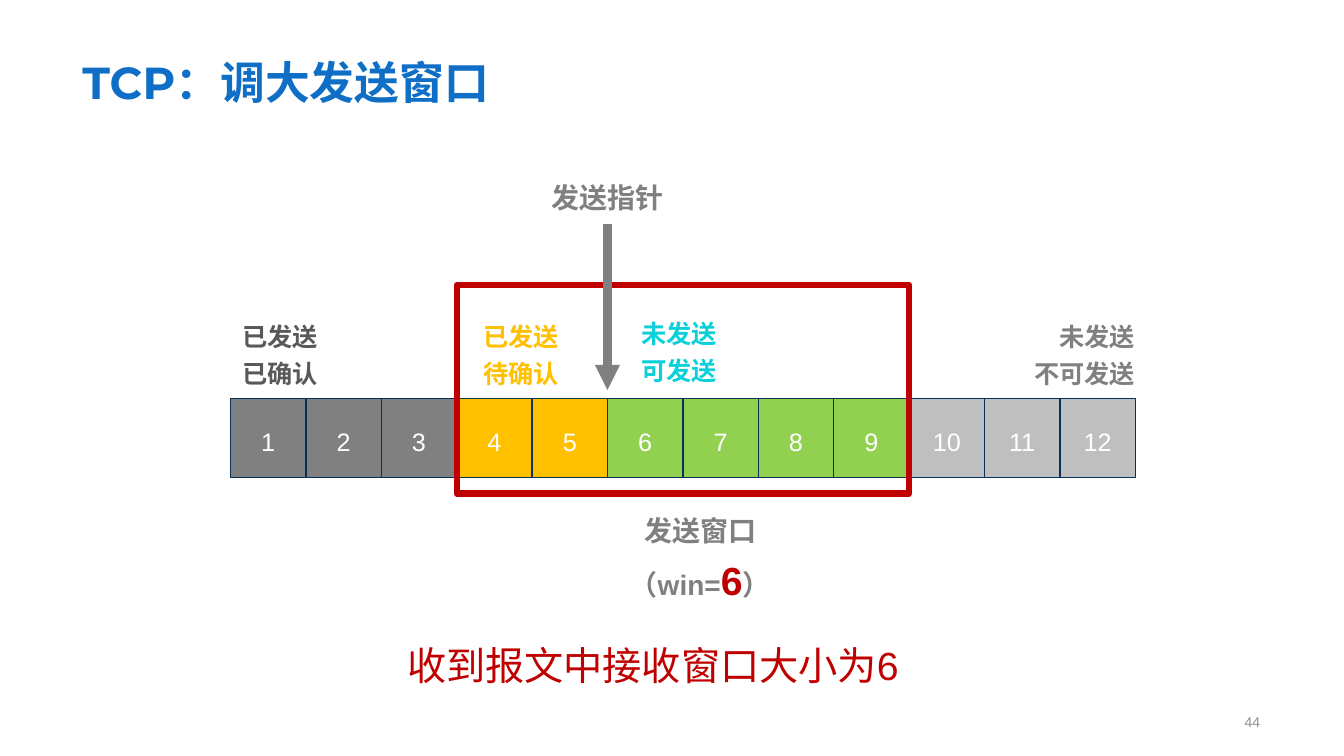
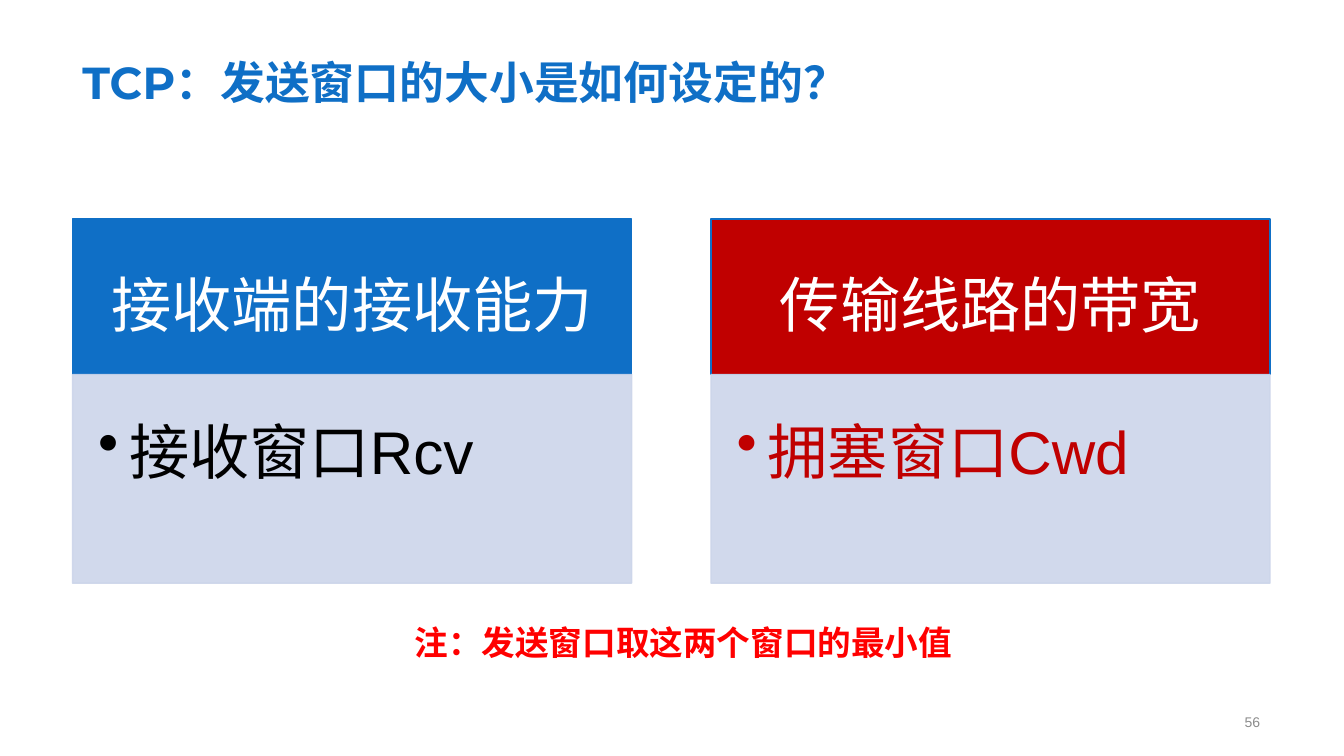
"""Build two slides on the TCP send window."""
from lxml import etree
from pptx import Presentation
from pptx.dml.color import RGBColor
from pptx.enum.lang import MSO_LANGUAGE_ID
from pptx.enum.shapes import MSO_CONNECTOR, MSO_SHAPE
from pptx.enum.text import MSO_ANCHOR, PP_ALIGN
from pptx.oxml.ns import qn
from pptx.util import Inches, Pt

LEFT, MID, RIGHT = PP_ALIGN.LEFT, PP_ALIGN.CENTER, PP_ALIGN.RIGHT
TOP, HALF, LOW = MSO_ANCHOR.TOP, MSO_ANCHOR.MIDDLE, MSO_ANCHOR.BOTTOM
RECT, LINE = MSO_SHAPE.RECTANGLE, MSO_CONNECTOR.STRAIGHT
ZH = MSO_LANGUAGE_ID.SIMPLIFIED_CHINESE

BLUE, NAVY, RED, GRAY = "0F6FC6", "073157", "C00000", "808080"
GOLD, GREEN, PALE, WHITE = "FFC000", "92D050", "CCD5EA", "FFFFFF"
rgb = RGBColor.from_string

deck = Presentation()
deck.slide_width, deck.slide_height = Inches(13.33), Inches(7.5)
COL, ROW = deck.slide_width / 100, deck.slide_height / 100


def put(page, x, y, w, h, fill=None, line=None, width=1, alpha=None):
    """Add a rectangle, or a text box when it has no fill and no line."""
    area = int(x * COL), int(y * ROW), int(w * COL), int(h * ROW)
    if not (fill or line):
        return page.shapes.add_textbox(*area)
    box = page.shapes.add_shape(RECT, *area)
    box.shadow.inherit = False
    if fill:
        box.fill.solid()
        box.fill.fore_color.rgb = rgb(fill)
    else:
        box.fill.background()
    box.line.color.rgb = rgb(line)
    box.line.width = Pt(width)
    if alpha:
        for tone in box._element.spPr.iter(qn("a:srgbClr")):
            etree.SubElement(tone, qn("a:alpha"), val=str(alpha * 1000))
    return box


def write(box, text, size=18, hue=GRAY, bold=False, font="Arial", align=MID,
          anchor=TOP, space=1.2, pad=None, bullet=None, hot=None):
    """Fill a box with text; parts between bars take the hot size and hue."""
    frame = box.text_frame
    frame.word_wrap = True
    frame.vertical_anchor = anchor
    if pad:
        frame.margin_left, frame.margin_right = (int(n * COL) for n in pad[:2])
        frame.margin_top, frame.margin_bottom = (int(n * ROW) for n in pad[2:])
    for i, row in enumerate(text.split("\n")):
        para = frame.add_paragraph() if i else frame.paragraphs[0]
        para.alignment = align
        para.line_spacing = space
        if bullet:
            prop = para._p.get_or_add_pPr()
            dent = Inches(0.31)
            prop.set("marL", str(dent))
            prop.set("indent", str(-dent))
            etree.SubElement(prop, qn("a:buChar"), char=bullet)
        for j, part in enumerate(row.split("|")):
            run = para.add_run()
            run.text = part
            face = run.font
            face.name, face.bold, face.language_id = font, bold, ZH
            points, tint = hot if j % 2 else (size, hue)
            face.size = Pt(points)
            face.color.rgb = rgb(tint)


EDGE, SPAN = 5.4, 89.1
pages = []
for title, num in (("TCP：调大发送窗口", "44"),
                   ("TCP：发送窗口的大小是如何设定的？", "56")):
    page = deck.slides.add_slide(deck.slide_layouts[6])
    write(put(page, 63.75, 93.5, 30.75, 4), num, size=10, hue="8C8C8C",
          align=RIGHT, anchor=HALF, space=1)
    write(put(page, EDGE, 1.9, SPAN, 13.05), title, size=32, hue=BLUE,
          bold=True, font="Montserrat", align=LEFT, anchor=LOW, space=1)
    pages.append(page)
slide, cause = pages

write(put(slide, 14.9, 82.9, 67.35, 8.3), "收到报文中接收窗口大小为6",
      size=28, hue=RED)

START, STEP = 17.15, 5.61
fills = [GRAY] * 3 + [GOLD] * 2 + [GREEN] * 4 + ["BFBFBF"] * 3
for i, fill in enumerate(fills):
    cell = put(slide, START + i * STEP, 52.7, STEP, 10.5, fill, NAVY)
    write(cell, str(i + 1), hue=WHITE, anchor=HALF)
put(slide, START + 3 * STEP, 37.7, 6 * STEP, 27.6, line=RED, width=4.5)

for x, y, w, text, hue, align in (
        (16.7, 41.1, 8.25, "已发送\n已确认", "595959", MID),
        (34.65, 41.1, 8.25, "已发送\n待确认", GOLD, MID),
        (46.4, 40.7, 8.25, "未发送\n可发送", "0BD0D9", MID),
        (74.55, 41.1, 10.65, "未发送\n不可发送", GRAY, RIGHT)):
    write(put(slide, x, y, w, 10.7), text, hue=hue, bold=True, align=align)

write(put(slide, 42.75, 66.4, 18.7, 8.1), "发送窗口（win=|6|）", size=20,
      bold=True, hot=(28, RED))

spot = START + 5 * STEP
arrow = slide.shapes.add_connector(LINE, int(spot * COL), int(29.7 * ROW),
                                   int(spot * COL), int(51.6 * ROW))
arrow.line.color.rgb = rgb(GRAY)
arrow.line.width = Pt(6)
etree.SubElement(arrow.line._get_or_add_ln(), qn("a:tailEnd"), type="triangle")
etree.SubElement(arrow._element.spPr, qn("a:effectLst"))
write(put(slide, spot - 9.35, 22.3, 18.7, 6.3), "发送指针", size=20, bold=True)

WIDE, HEAD, BODY = 41.6, 20.6, 27.6
for x, fill, head, item, hue in (
        (EDGE, BLUE, "接收端的接收能力", "接收窗口Rcv", "000000"),
        (EDGE + SPAN - WIDE, RED, "传输线路的带宽", "拥塞窗口Cwd", RED)):
    write(put(cause, x, 28.95, WIDE, HEAD, fill, BLUE), head, size=43,
          hue=WHITE, anchor=HALF, pad=(2.5, 2.5, 2.5, 2.5))
    write(put(cause, x, 28.95 + HEAD, WIDE, BODY, PALE, PALE, alpha=90), item,
          size=43, hue=hue, align=LEFT, pad=(1.9, 2.5, 3.3, 5), bullet="•")

write(put(cause, 30.1, 80.5, 43.4, 7.3), "注：发送窗口取这两个窗口的最小值",
      size=24, hue="FF0000", bold=True, align=LEFT)

deck.save("out.pptx")
